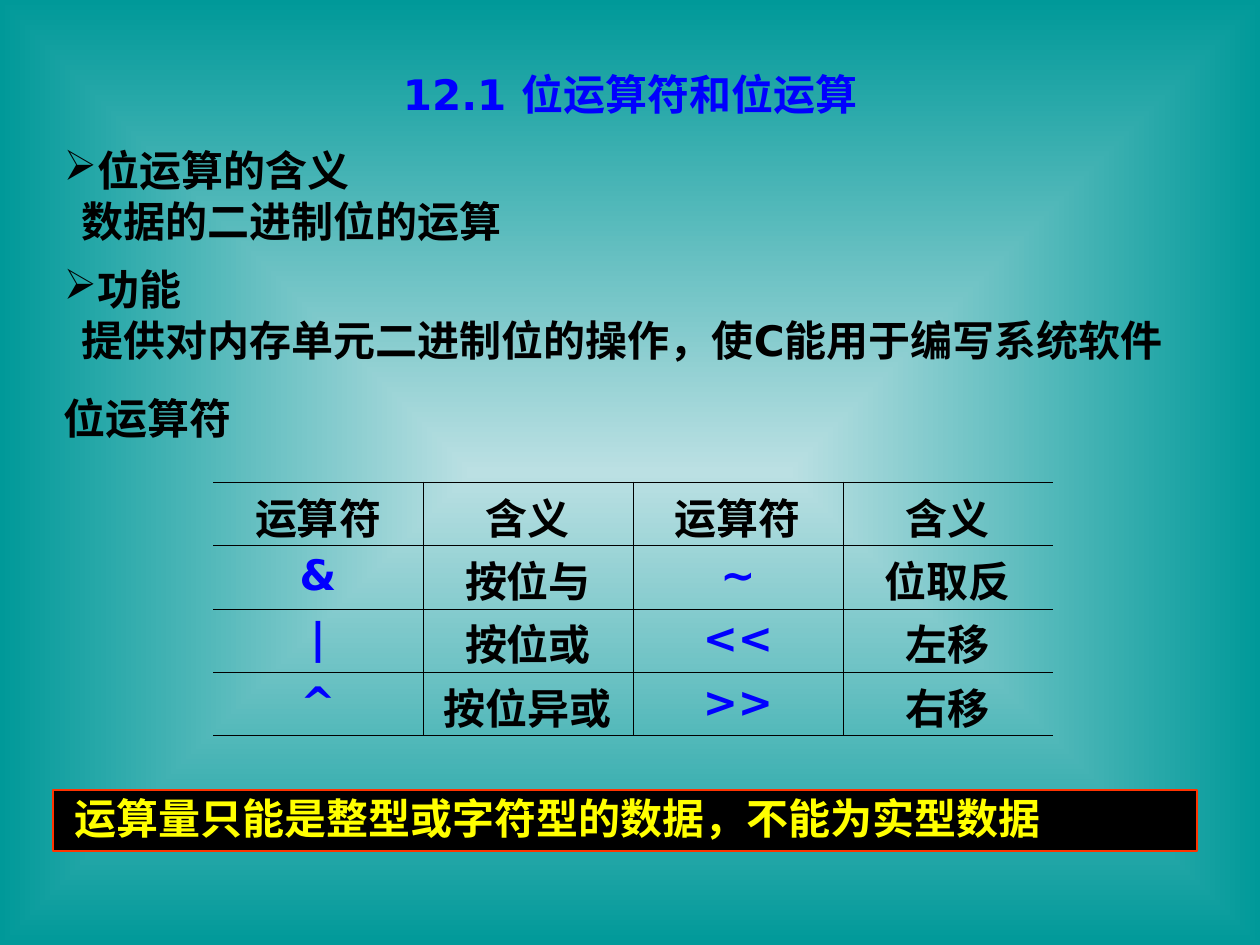
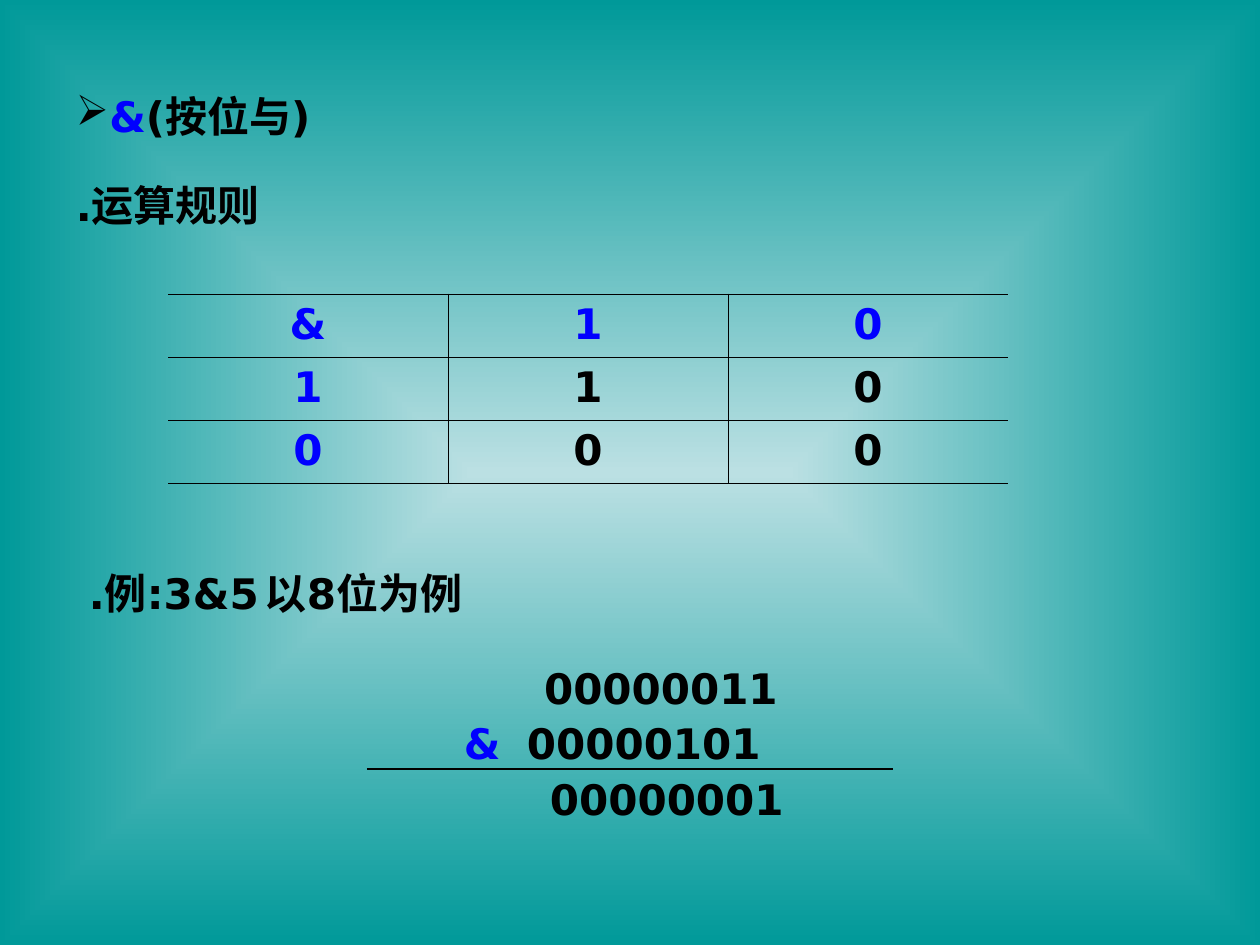
from lxml.etree import SubElement
from pptx import Presentation
from pptx.dml.color import RGBColor
from pptx.enum.shapes import MSO_CONNECTOR as Connector, MSO_SHAPE as Shape
from pptx.enum.text import MSO_ANCHOR as Anchor, PP_ALIGN as Align
from pptx.oxml.ns import qn
from pptx.util import Emu, Pt

BLACK = RGBColor(0x00, 0x00, 0x00)
BLUE = RGBColor(0x00, 0x00, 0xFF)
YELLOW = RGBColor(0xFF, 0xFF, 0x00)
RED = RGBColor(0xFF, 0x33, 0x00)
PALE = RGBColor(0xBB, 0xE0, 0xE3)
TEAL = RGBColor(0x00, 0x99, 0x99)
FONT = "DejaVu Sans"
PAD = (13, 6)
BARE = (0, 0)


def px(length):
    return Emu(round(length * 914400 / 126))


def apply(target, **values):
    for name, value in values.items():
        setattr(target, name, value)


class Slides:
    def __init__(self):
        self.deck = Presentation()
        apply(self.deck, slide_width=px(1260), slide_height=px(945))
        self.page = None

    def new_page(self):
        self.page = self.deck.slides.add_slide(self.deck.slide_layouts[6])
        fill = self.page.background.fill
        fill.gradient()
        for stop, color, position in zip(fill.gradient_stops, (PALE, TEAL), (0, 1)):
            apply(stop, position=position)
            stop.color.rgb = color
        gradient = self.page.element.find(".//" + qn("a:gradFill"))
        gradient.remove(gradient.find(qn("a:lin")))
        shade = SubElement(gradient, qn("a:path"), path="rect")
        SubElement(shade, qn("a:fillToRect"), {side: "50000" for side in "ltrb"})

    def paragraph(self, para, spans, bullet=False, indent=0, tab=None, color=BLACK, **layout):
        props = para._p.get_or_add_pPr()
        props.set("marL", "0")
        props.set("indent", str(px(indent)))
        if bullet:
            tint = SubElement(props, qn("a:buClr"))
            SubElement(tint, qn("a:srgbClr"), val=str(BLACK))
            SubElement(props, qn("a:buChar"), char="➢")
        else:
            SubElement(props, qn("a:buNone"))
        if tab:
            stops = SubElement(props, qn("a:tabLst"))
            SubElement(stops, qn("a:tab"), pos=str(px(tab)), algn="l")
        apply(para, **layout)
        if isinstance(spans, str):
            spans = [(spans, color)]
        for words, tone in spans:
            span = para.add_run()
            apply(span, text=words)
            apply(span.font, name=FONT, size=Pt(24), bold=True)
            span.font.color.rgb = tone
            SubElement(span._r.get_or_add_rPr(), qn("a:ea"), typeface=FONT)

    def fill_frame(self, frame, paras, pad, anchor=Anchor.TOP):
        across, down = (px(length) for length in pad)
        apply(frame, word_wrap=True, vertical_anchor=anchor,
              margin_left=across, margin_right=across, margin_top=down, margin_bottom=down)
        for index, content in enumerate(paras):
            para = frame.add_paragraph() if index else frame.paragraphs[0]
            self.paragraph(para, **content)

    def text(self, area, *paras, pad=BARE, anchor=Anchor.TOP):
        box = self.page.shapes.add_textbox(*map(px, area))
        self.fill_frame(box.text_frame, paras, pad, anchor)

    def title(self, top, **content):
        self.text((63, top, 1134, 63), content, pad=PAD, anchor=Anchor.MIDDLE)

    def banner(self, area, **content):
        box = self.page.shapes.add_shape(Shape.RECTANGLE, *map(px, area))
        box.shadow.inherit = False
        box.fill.solid()
        box.fill.fore_color.rgb = BLACK
        box.line.color.rgb = RED
        box.line.width = Pt(0.75)
        self.fill_frame(box.text_frame, [dict(content, alignment=Align.LEFT)], PAD)

    def border(self, cell, hidden):
        props = cell._tc.get_or_add_tcPr()
        for index, side in enumerate(("lnL", "lnR", "lnT", "lnB")):
            edge = SubElement(props, qn("a:" + side), w=str(Pt(0.45)))
            if side in hidden:
                SubElement(edge, qn("a:noFill"))
            else:
                paint = SubElement(edge, qn("a:solidFill"))
                SubElement(paint, qn("a:srgbClr"), val=str(BLACK))
            props.insert(index, edge)

    def table(self, left, top, column_width, rows, is_blue):
        row_height = 63
        count = len(rows[0])
        area = (left, top, column_width * count, row_height * len(rows))
        grid = self.page.shapes.add_table(len(rows), count, *map(px, area)).table
        apply(grid, first_row=False, horz_banding=False)
        for y, row in enumerate(rows):
            grid.rows[y].height = px(row_height)
            for x, words in enumerate(row):
                grid.columns[x].width = px(column_width)
                cell = grid.cell(y, x)
                cell.fill.background()
                apply(cell, margin_top=px(6 if words.isascii() else 13), margin_bottom=px(0))
                hidden = {"lnL"} if x == 0 else {"lnR"} if x == count - 1 else set()
                self.border(cell, hidden)
                self.paragraph(cell.text_frame.paragraphs[0], words,
                               color=BLUE if is_blue(y, x) else BLACK, alignment=Align.CENTER)

    def rule(self, left, right, y):
        line = self.page.shapes.add_connector(
            Connector.STRAIGHT, px(left), px(y), px(right), px(y))
        line.line.color.rgb = BLACK
        line.line.width = Pt(0.75)
        SubElement(line._element.spPr, qn("a:effectLst"))


def operators_page(slides):
    slides.new_page()
    slides.title(62, spans="12.1 位运算符和位运算", color=BLUE, alignment=Align.CENTER)
    topics = (
        ("位运算的含义", "数据的二进制位的运算"),
        ("功能", "提供对内存单元二进制位的操作，使C能用于编写系统软件"),
    )
    for index, (heading, detail) in enumerate(topics):
        slides.text((64, 145 + 119 * index, 1134, 101),
                    dict(spans=heading, bullet=True), dict(spans=detail, indent=18))
    slides.text((64, 393, 1134, 50), dict(spans="位运算符"))
    slides.table(213, 482, 210, [
        ("运算符", "含义", "运算符", "含义"),
        ("&", "按位与", "~", "位取反"),
        ("|", "按位或", "<<", "左移"),
        ("^", "按位异或", ">>", "右移"),
    ], lambda y, x: y > 0 and x % 2 == 0)
    slides.banner((53, 790, 1144, 61), spans="运算量只能是整型或字符型的数据，不能为实型数据",
                  color=YELLOW, indent=9, line_spacing=0.95)


def bitwise_and_page(slides):
    slides.new_page()
    slides.title(84, spans=[("&", BLUE), ("(按位与)", BLACK)], bullet=True)
    slides.text((63, 185, 1134, 45), dict(spans=".运算规则", indent=13, line_spacing=0.9))
    slides.table(168, 294, 280, [
        ("&", "1", "0"),
        ("1", "1", "0"),
        ("0", "0", "0"),
    ], lambda y, x: y == 0 or x == 0)
    slides.text((63, 562, 1124, 63), dict(spans=".例:3&5\t以8位为例", indent=13, tab=653), pad=PAD)
    slides.text(
        (451, 656, 406, 170),
        dict(spans="00000011", indent=14, alignment=Align.CENTER),
        dict(spans=[("&", BLUE), ("\t00000101", BLACK)], tab=79, space_before=Pt(3)),
        dict(spans="00000001", indent=86, space_before=Pt(3)),
        pad=PAD)
    slides.rule(367, 893, 769)


def main():
    slides = Slides()
    operators_page(slides)
    bitwise_and_page(slides)
    slides.deck.save("out.pptx")


if __name__ == "__main__":
    main()
